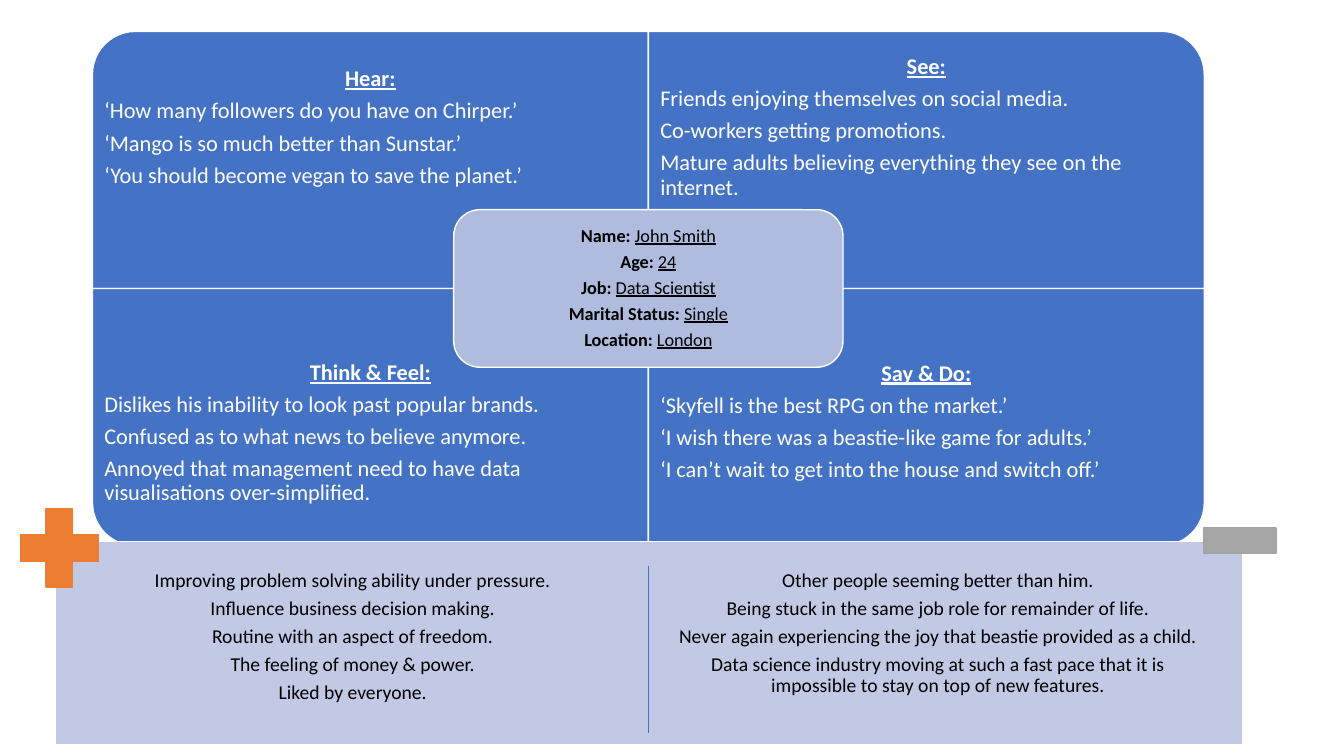
from lxml import etree
from pptx import Presentation
from pptx.dml.color import RGBColor
from pptx.enum.shapes import MSO_CONNECTOR, MSO_SHAPE
from pptx.enum.text import MSO_ANCHOR, PP_ALIGN
from pptx.oxml.ns import qn
from pptx.util import Cm, Pt

LEFT, CENTER = PP_ALIGN.LEFT, PP_ALIGN.CENTER
TOP, MIDDLE = MSO_ANCHOR.TOP, MSO_ANCHOR.MIDDLE
RECTANGLE, ROUNDED = MSO_SHAPE.RECTANGLE, MSO_SHAPE.ROUNDED_RECTANGLE
ONE_ROUND, PLUS = MSO_SHAPE.ROUND_1_RECTANGLE, MSO_SHAPE.CROSS
STRAIGHT = MSO_CONNECTOR.STRAIGHT

COLORS = {
    "blue": "4472C4", "profile": "B0BCDE", "panel": "C1C9E4",
    "orange": "ED7D31", "gray": "A5A5A5", "white": "FFFFFF", "black": "000000",
}
FONT = "Calibri"

QUADRANTS = [
    {"title": "Hear:", "column": 0, "row": 0, "rotation": 270, "lift": 0, "lines": [
        "‘How many followers do you have on Chirper.’",
        "‘Mango is so much better than Sunstar.’",
        "‘You should become vegan to save the planet.’"]},
    {"title": "See:", "column": 1, "row": 0, "rotation": 0, "lift": 0, "lines": [
        "Friends enjoying themselves on social media.",
        "Co-workers getting promotions.",
        "Mature adults believing everything they see on the internet."]},
    {"title": "Think & Feel:", "column": 0, "row": 1, "rotation": 180, "lift": 0.81, "lines": [
        "Dislikes his inability to look past popular brands.",
        "Confused as to what news to believe anymore.",
        "Annoyed that management need to have data visualisations over-simplified."]},
    {"title": "Say & Do:", "column": 1, "row": 1, "rotation": 90, "lift": 1.38, "lines": [
        "‘Skyfell is the best RPG on the market.’",
        "‘I wish there was a beastie-like game for adults.’",
        "‘I can’t wait to get into the house and switch off.’"]},
]
PROFILE = [
    ("Name: ", "John Smith"), ("Age: ", "24"), ("Job: ", "Data Scientist"),
    ("Marital Status: ", "Single"), ("Location: ", "London"),
]
GAINS = [
    "Improving problem solving ability under pressure.",
    "Influence business decision making.",
    "Routine with an aspect of freedom.",
    "The feeling of money & power.",
    "Liked by everyone.",
]
PAINS = [
    "Other people seeming better than him.",
    "Being stuck in the same job role for remainder of life.",
    "Never again experiencing the joy that beastie provided as a child.",
    "Data science industry moving at such a fast pace that it is impossible to stay on top of new features.",
]

GRID_LEFT, GRID_TOP = 2.33, 0.79
CELL_WIDTH, CELL_HEIGHT = 14.01, 6.48
TEXT_HEIGHT = CELL_HEIGHT * 0.75
MIDDLE_X, MIDDLE_Y = GRID_LEFT + CELL_WIDTH, GRID_TOP + CELL_HEIGHT
PROFILE_WIDTH, PROFILE_HEIGHT = 9.81, 3.97
NOTES_TOP, NOTES_HEIGHT = 14.3, 4.39


def color(name):
    return RGBColor.from_string(COLORS[name])


def add_block(page, kind, left, top, width, height, fill, line, rotation=0):
    shape = page.shapes.add_shape(kind, Cm(left), Cm(top), Cm(width), Cm(height))
    shape.shadow.inherit = False
    shape.fill.solid()
    shape.fill.fore_color.rgb = color(fill)
    shape.line.color.rgb = color(line)
    shape.line.width = Pt(1)
    shape.rotation = rotation
    return shape


def write_text(box, paragraphs, size, ink, inset, anchor=MIDDLE, lift=0):
    frame = box.text_frame
    frame.word_wrap = True
    frame.vertical_anchor = anchor
    frame.margin_left = frame.margin_right = frame.margin_top = Cm(inset)
    frame.margin_bottom = Cm(inset + lift)
    for index, (align, spans) in enumerate(paragraphs):
        para = frame.add_paragraph() if index else frame.paragraphs[0]
        para.alignment = align
        para.line_spacing = 0.9
        para.space_before = Pt(0)
        para.space_after = Pt(size * 0.35)
        for text, bold, underline in spans:
            span = para.add_run()
            span.text = text
            span.font.name = FONT
            span.font.size = Pt(size)
            span.font.bold = bold
            span.font.underline = underline
            span.font.color.rgb = color(ink)


def add_quadrant(page, quadrant):
    left = GRID_LEFT + quadrant["column"] * CELL_WIDTH
    top = GRID_TOP + quadrant["row"] * CELL_HEIGHT
    rotation = quadrant["rotation"]
    width, height = CELL_WIDTH, CELL_HEIGHT
    if rotation % 180:
        width, height = height, width
    add_block(page, ONE_ROUND, left + (CELL_WIDTH - width) / 2,
              top + (CELL_HEIGHT - height) / 2, width, height, "blue", "white", rotation)
    text_top = top + quadrant["row"] * (CELL_HEIGHT - TEXT_HEIGHT)
    box = page.shapes.add_textbox(Cm(left), Cm(text_top), Cm(CELL_WIDTH), Cm(TEXT_HEIGHT))
    paragraphs = [(CENTER, [(quadrant["title"], True, True)])]
    paragraphs += [(LEFT, [(line, False, False)]) for line in quadrant["lines"]]
    write_text(box, paragraphs, 16, "white", 0.3, lift=quadrant["lift"])


def main():
    deck = Presentation()
    deck.slide_width, deck.slide_height = Cm(33.87), Cm(19.05)
    page = deck.slides.add_slide(deck.slide_layouts[6])

    for quadrant in QUADRANTS:
        add_quadrant(page, quadrant)

    profile = add_block(page, ROUNDED, MIDDLE_X - PROFILE_WIDTH / 2,
                        MIDDLE_Y - PROFILE_HEIGHT / 2, PROFILE_WIDTH, PROFILE_HEIGHT,
                        "profile", "white")
    facts = [(CENTER, [(label, True, False), (value, False, True)]) for label, value in PROFILE]
    write_text(profile, facts, 13, "black", 0.13)

    add_block(page, RECTANGLE, 1.4, 13.64, 29.92, 5.13, "panel", "white")
    for left, width, lines in [(1.98, 13.82, GAINS), (16.87, 13.54, PAINS)]:
        box = page.shapes.add_textbox(Cm(left), Cm(NOTES_TOP), Cm(width), Cm(NOTES_HEIGHT))
        paragraphs = [(CENTER, [(line, False, False)]) for line in lines]
        write_text(box, paragraphs, 14, "black", 0.08, anchor=TOP)

    plus = add_block(page, PLUS, 0.51, 12.83, 1.96, 1.96, "orange", "orange")
    plus.adjustments[0] = 0.33
    add_block(page, RECTANGLE, 30.33, 13.31, 1.83, 0.64, "gray", "gray")

    divider = page.shapes.add_connector(STRAIGHT, Cm(MIDDLE_X), Cm(14.25), Cm(MIDDLE_X), Cm(18.47))
    divider.line.color.rgb = color("blue")
    divider.line.width = Pt(1)
    etree.SubElement(divider._element.spPr, qn("a:effectLst"))

    deck.save("out.pptx")


if __name__ == "__main__":
    main()
